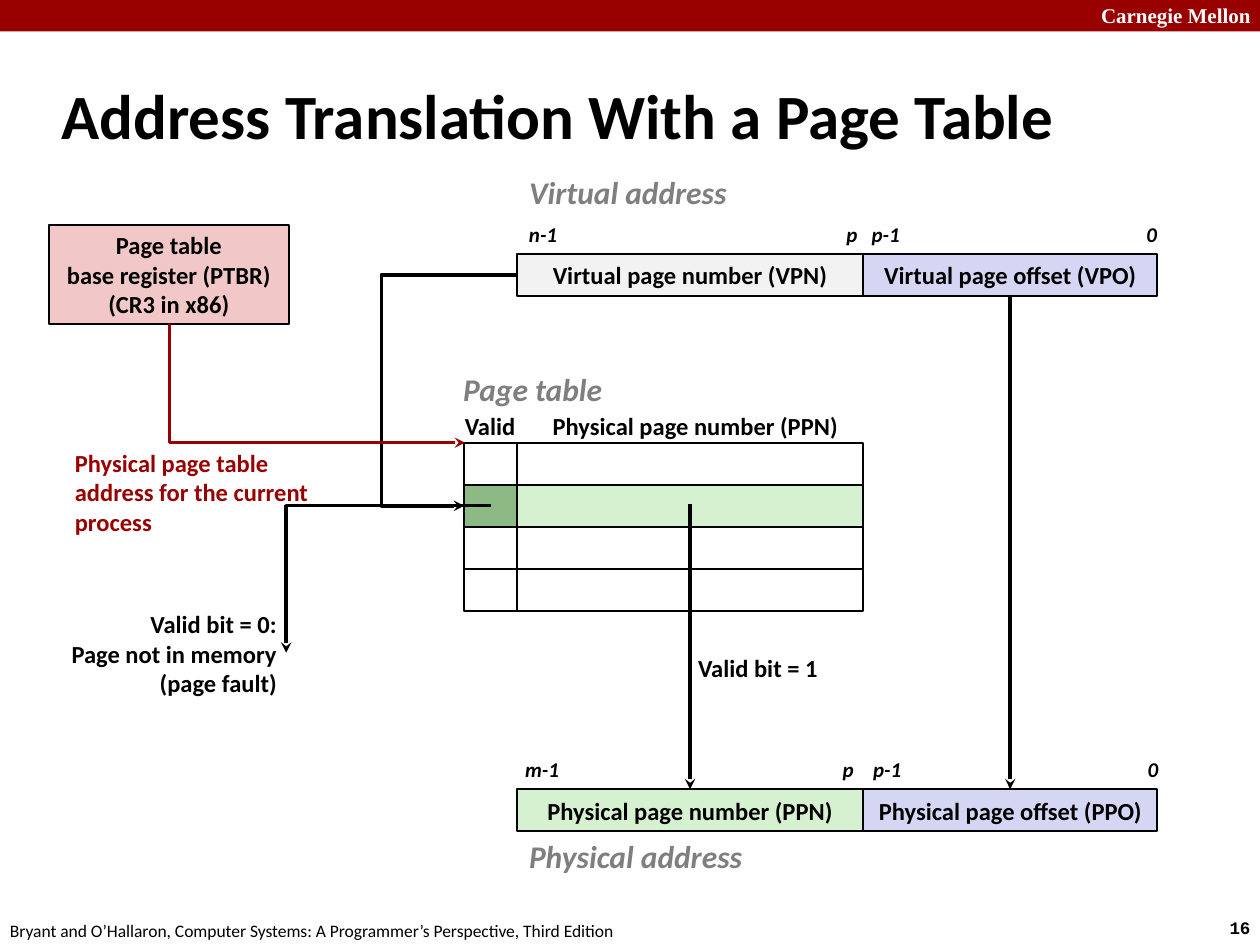
"""Build a slide on address translation with a page table."""
from dataclasses import dataclass
from typing import Optional

from lxml import etree
from pptx import Presentation
from pptx import util as u
from pptx.dml import color
from pptx.enum import shapes, text
from pptx.oxml import ns

COLORS = {
    "black": "000000", "white": "FFFFFF", "red": "990000", "gray": "7F7F7F",
    "pale": "F2F2F2", "lilac": "D5D5F4", "green": "D5F1CF",
    "dark_green": "8DBA84", "pink": "F1C7C7",
}
LEFT, CENTER, RIGHT = text.PP_ALIGN.LEFT, text.PP_ALIGN.CENTER, text.PP_ALIGN.RIGHT

ROW_H = 24
VALID_X, VALID_W = 265.3, 30
NUMBER_X, NUMBER_W = VALID_X + VALID_W, 198
OFFSET_X, OFFSET_W = NUMBER_X + NUMBER_W, 168
VIRTUAL_Y, TABLE_Y, PHYSICAL_Y = 145, 253, 451
ENTRY_Y = TABLE_Y + 1.5 * ROW_H


@dataclass
class Box:
    x: float
    y: float
    w: float
    h: float = ROW_H
    fill: Optional[str] = None
    words: str = ""


@dataclass
class Label:
    words: str
    x: float
    y: float
    w: float
    h: float = 24.2
    size: float = 14
    color: str = "black"
    bold: bool = True
    italic: bool = False
    font: str = "Calibri"
    align: text.PP_ALIGN = LEFT


def rgb(name: str) -> color.RGBColor:
    """Return the named colour."""
    return color.RGBColor.from_string(COLORS[name])


def write(tf, words, *, size=14, color="black", bold=True, italic=False,
          font="Calibri", align=LEFT) -> None:
    """Fill a text frame with one formatted paragraph per line of words."""
    for i, line in enumerate(words.split("\n")):
        p = tf.paragraphs[0] if i == 0 else tf.add_paragraph()
        p.text = line
        p.alignment = align
        for r in p.runs:
            r.font.size, r.font.name = u.Pt(size), font
            r.font.bold, r.font.italic = bold, italic
            r.font.color.rgb = rgb(color)


def draw_box(s, box: Box, line: Optional[str] = "black"):
    """Draw a rectangle with optional fill, outline and centred text."""
    sp = s.shapes.add_shape(shapes.MSO_SHAPE.RECTANGLE, u.Pt(box.x), u.Pt(box.y),
                            u.Pt(box.w), u.Pt(box.h))
    sp.shadow.inherit = False
    if box.fill:
        sp.fill.solid()
        sp.fill.fore_color.rgb = rgb(box.fill)
    else:
        sp.fill.background()
    if line:
        sp.line.color.rgb = rgb(line)
        sp.line.width = u.Pt(1)
    else:
        sp.line.fill.background()
    if box.words:
        sp.text_frame.vertical_anchor = text.MSO_ANCHOR.MIDDLE
        sp.text_frame.word_wrap = False
        write(sp.text_frame, box.words, align=CENTER)
    return sp


def draw_label(s, label: Label) -> None:
    """Draw a text box that keeps its lines as given."""
    sp = s.shapes.add_textbox(u.Pt(label.x), u.Pt(label.y), u.Pt(label.w), u.Pt(label.h))
    sp.text_frame.word_wrap = False
    write(sp.text_frame, label.words, size=label.size, color=label.color, bold=label.bold,
          italic=label.italic, font=label.font, align=label.align)


def draw_arrow(s, x1: float, y1: float, x2: float, y2: float, *, color: str = "black",
               preset: str = "line", adjust: Optional[int] = None, turn: int = 0):
    """Draw a connector with a stealth arrowhead at its end."""
    kind = shapes.MSO_CONNECTOR.STRAIGHT if preset == "line" else shapes.MSO_CONNECTOR.ELBOW
    c = s.shapes.add_connector(kind, u.Pt(x1), u.Pt(y1), u.Pt(x2), u.Pt(y2))
    c.line.color.rgb = rgb(color)
    c.line.width = u.Pt(2)
    etree.SubElement(c.line._get_or_add_ln(), ns.qn("a:tailEnd"), type="stealth")
    props = c._element.spPr
    etree.SubElement(props, ns.qn("a:effectLst"))
    geometry = props.find(ns.qn("a:prstGeom"))
    geometry.set("prst", preset)
    if adjust is not None:
        etree.SubElement(geometry.find(ns.qn("a:avLst")), ns.qn("a:gd"),
                         name="adj1", fmla=f"val {adjust}")
    if turn:
        props.find(ns.qn("a:xfrm")).set("rot", str(turn * 60000))
    return c


def draw_address(s, y: float, number: Box, offset: Box, bits: list):
    """Draw an address as two fields with bit positions above them."""
    number_sp, offset_sp = draw_box(s, number), draw_box(s, offset)
    for words, x, w in bits:
        draw_label(s, Label(words, x, y - 22.2, w, 21.6, size=12, italic=True))
    return number_sp, offset_sp


def main() -> None:
    """Build and save the slide."""
    prs = Presentation()
    prs.slide_width, prs.slide_height = u.Pt(720), u.Pt(540)
    s = prs.slides.add_slide(prs.slide_layouts[5])

    draw_box(s, Box(0, 0, 720, 18, "red"), line=None)
    title = s.shapes.title
    title.left, title.top, title.width, title.height = map(u.Pt, (28, 35.4, 597.6, 60))
    title.text_frame.vertical_anchor = text.MSO_ANCHOR.MIDDLE
    title.text_frame.auto_size = text.MSO_AUTO_SIZE.NONE
    write(title.text_frame, "Address Translation With a Page Table", size=36)

    _, vpo = draw_address(
        s, VIRTUAL_Y,
        Box(NUMBER_X, VIRTUAL_Y, NUMBER_W, fill="pale", words="Virtual page number (VPN)"),
        Box(OFFSET_X, VIRTUAL_Y, OFFSET_W, fill="lilac", words="Virtual page offset (VPO)"),
        [("n-1", 295.2, 33.8), ("p", 476.6, 23.8), ("p-1", 491, 33.8), ("0", 648, 23.8)])
    ppn, ppo = draw_address(
        s, PHYSICAL_Y,
        Box(NUMBER_X, PHYSICAL_Y, NUMBER_W, fill="green", words="Physical page number (PPN)"),
        Box(OFFSET_X, PHYSICAL_Y, OFFSET_W, fill="lilac", words="Physical page offset (PPO)"),
        [("m-1", 293, 36.7), ("p", 474.5, 23.8), ("p-1", 491.8, 33.8), ("0", 648.7, 23.8)])

    for row in range(4):
        fills = ("green", "dark_green") if row == 1 else (None, None)
        y = TABLE_Y + row * ROW_H
        draw_box(s, Box(NUMBER_X, y, NUMBER_W, fill=fills[0]))
        draw_box(s, Box(VALID_X, y, VALID_W, fill=fills[1]))
    draw_box(s, Box(28, 128.6, 137, 56.6, "pink",
                    "Page table\vbase register (PTBR)\n(CR3 in x86)"))

    draw_arrow(s, NUMBER_X, VIRTUAL_Y + ROW_H / 2, VALID_X, ENTRY_Y,
               preset="bentConnector3", adjust=258000)
    draw_arrow(s, 280.5, ENTRY_Y, 163.6, 373, preset="bentConnector2")
    draw_arrow(s, 215.2, 134.7, 147.4, 303.5, color="red", preset="bentConnector2", turn=270)
    middle = OFFSET_X + OFFSET_W / 2
    offset_arrow = draw_arrow(s, middle, VIRTUAL_Y + ROW_H, middle, PHYSICAL_Y)
    offset_arrow.begin_connect(vpo, 2)
    offset_arrow.end_connect(ppo, 0)
    middle = NUMBER_X + NUMBER_W / 2
    draw_arrow(s, middle, 288, middle, PHYSICAL_Y).end_connect(ppn, 0)

    heading = {"h": 29, "size": 18, "color": "gray", "italic": True}
    for label in (
        Label("Carnegie Mellon", 622.1, -2.2, 103, 21.6, size=12, color="white",
              font="Times New Roman"),
        Label("16", 695.5, 520.6, 32.4, 19.4, size=10, font="Courier New"),
        Label("Bryant and O’Hallaron, Computer Systems: A Programmer’s Perspective, "
              "Third Edition", -1.4, 522, 365.8, 19.4, size=10, bold=False),
        Label("Virtual address", 295.2, 95.2, 128.2, **heading),
        Label("Page table", 257.5, 208, 102.2, **heading),
        Label("Physical address", 295.2, 475, 137.5, **heading),
        Label("Valid", 258.5, 231.5, 43.9),
        Label("Physical page number (PPN)", 308.7, 231.5, 178.6),
        Label("Physical page table\naddress for the current\nprocess", 35.7, 252.3, 149.8,
              58.3, color="red"),
        Label("Valid bit = 0:\nPage not in memory\n(page fault)", 31.4, 344.6, 133.9, 58.3,
              align=RIGHT),
        Label("Valid bit = 1", 390.2, 369.6, 84.2, align=RIGHT),
    ):
        draw_label(s, label)
    prs.save("out.pptx")


if __name__ == "__main__":
    main()
